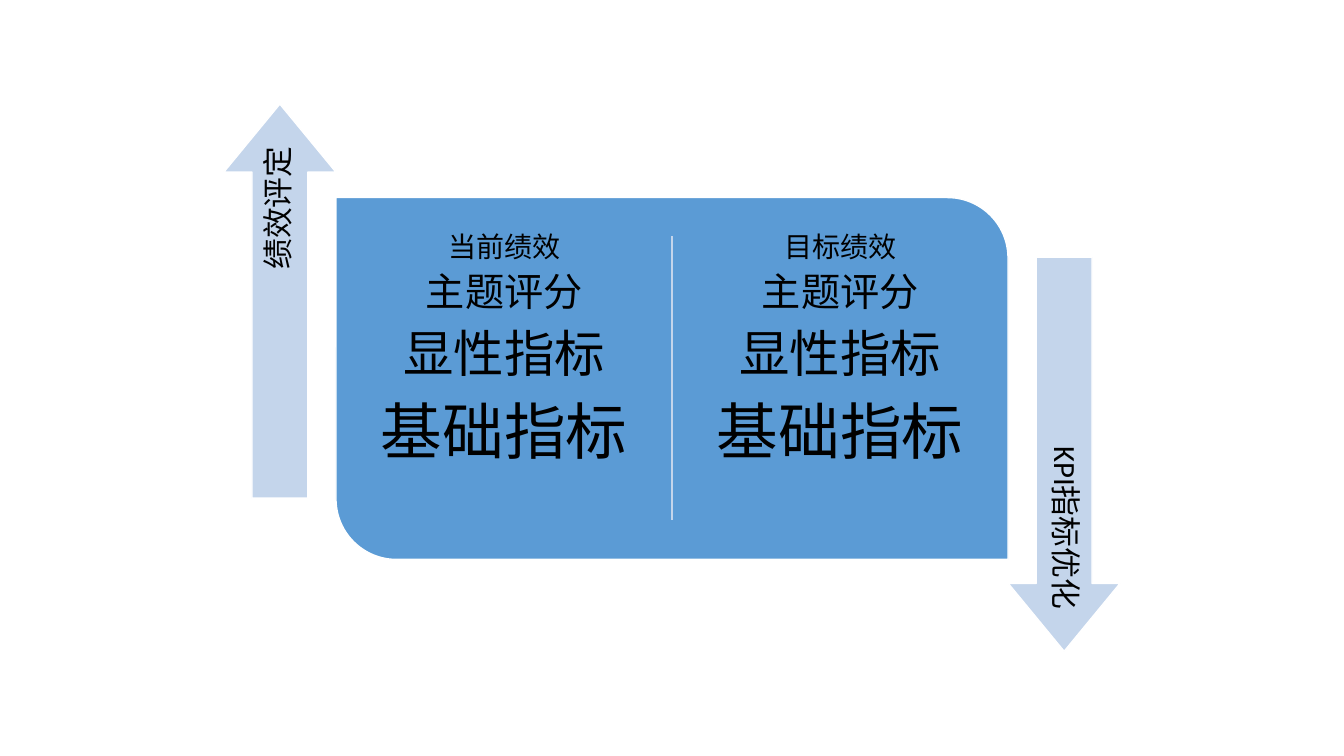
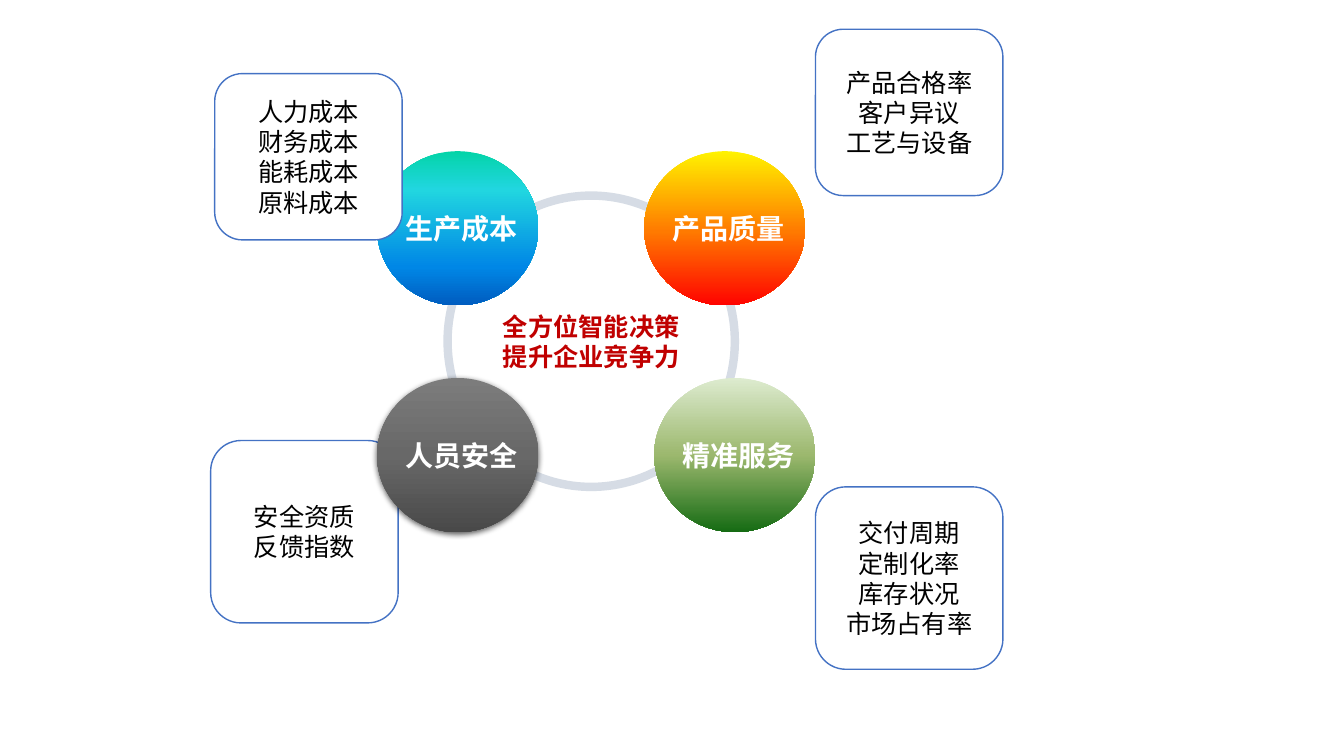
from lxml import etree
from pptx import Presentation
from pptx.dml.color import RGBColor
from pptx.enum.shapes import MSO_CONNECTOR, MSO_SHAPE
from pptx.enum.text import MSO_ANCHOR, PP_ALIGN
from pptx.oxml.ns import qn
from pptx.util import Inches, Pt

ROUND = MSO_SHAPE.ROUND_2_DIAG_RECTANGLE
ARROW = MSO_SHAPE.RIGHT_ARROW
OVAL = MSO_SHAPE.OVAL
CARD = MSO_SHAPE.FLOWCHART_ALTERNATE_PROCESS
LINE = MSO_CONNECTOR.STRAIGHT
MIDDLE, TOP = MSO_ANCHOR.MIDDLE, MSO_ANCHOR.TOP
CENTER, RIGHT = PP_ALIGN.CENTER, PP_ALIGN.RIGHT

COLS, ROWS = 40, 22.5
BODY, HEAVY = "Calibri", "Noto Sans CJK SC"
BLACK, WHITE, RED = "000000", "FFFFFF", "C00000"
BLUE, PALE = "5B9BD5", "C4D5EB"
EDGE, RING = "4472C4", "D6DCE5"


def color(code):
    return RGBColor.from_string(code)


def add(parent, tag, **attrs):
    return etree.SubElement(parent, qn(tag), attrs)


class Deck:
    def __init__(self):
        self.file = Presentation()
        self.file.slide_width = Inches(13.33)
        self.file.slide_height = Inches(7.5)
        self.wide = self.file.slide_width / COLS
        self.high = self.file.slide_height / ROWS

    def page(self):
        self.slide = self.file.slides.add_slide(self.file.slide_layouts[6])

    def spot(self, *cells):
        return [round(n * (self.high if i % 2 else self.wide))
                for i, n in enumerate(cells)]

    def shape(self, kind, place, fill=None, line=None, width=1, turn=0, bends=()):
        item = self.slide.shapes.add_shape(kind, *self.spot(*place))
        item.shadow.inherit = False
        item.rotation = turn
        for i, bend in enumerate(bends):
            item.adjustments[i] = bend
        if fill:
            item.fill.solid()
            item.fill.fore_color.rgb = color(fill)
        else:
            item.fill.background()
        if line:
            item.line.color.rgb = color(line)
            item.line.width = Pt(width)
        else:
            item.line.fill.background()
        return item

    def words(self, item, lines, sizes, tint=BLACK, face=BODY, bold=False,
              align=CENTER, anchor=MIDDLE, pads=(0.1, 0.05, 0.1, 0.05),
              wrap=True, tight=False):
        frame = item.text_frame
        frame.text = "\n".join(lines)
        frame.word_wrap = wrap
        frame.vertical_anchor = anchor
        (frame.margin_left, frame.margin_top,
         frame.margin_right, frame.margin_bottom) = map(Inches, pads)
        for para, size in zip(frame.paragraphs, sizes):
            para.alignment = align
            if tight:
                para.line_spacing = 0.9
                after = add(para._p.get_or_add_pPr(), "a:spcAft")
                add(after, "a:spcPct", val="35000")
            for run in para.runs:
                run.font.size = Pt(size)
                run.font.bold = bold
                run.font.name = face
                run.font.color.rgb = color(tint)
                add(run._r.get_or_add_rPr(), "a:ea", typeface=HEAVY)

    def label(self, place, lines, sizes, turn=0, **style):
        box = self.slide.shapes.add_textbox(*self.spot(*place))
        box.rotation = turn
        self.words(box, lines, sizes, tight=True, **style)

    def rule(self, *ends):
        item = self.slide.shapes.add_connector(LINE, *self.spot(*ends))
        item.line.color.rgb = color(PALE)
        item.line.width = Pt(1)
        add(item._element.spPr, "a:effectLst")

    def arrow(self, x, y, shift, turn, text):
        long, thick = 11.73, 3.33
        self.shape(ARROW, (x - long / 2, y - thick / 2, long, thick),
                   PALE, WHITE, turn=turn, bends=(0.498, 0.607))
        long, thick = 10.74, 1.65
        self.label((x - long / 2, y + shift - thick / 2, long, thick),
                   [text], [22], turn, align=RIGHT, pads=(0.09,) * 4)

    def card(self, x, y, high, lines):
        item = self.shape(CARD, (x, y, 5.58, high), WHITE, EDGE)
        self.words(item, lines, [18] * len(lines))

    def ball(self, x, y, text, stops, shade=False):
        item = self.shape(OVAL, (x, y, 4.8, 4.59))
        item.fill.gradient()
        item.fill.gradient_angle = 270
        blend = item._element.spPr.find(qn("a:gradFill")).find(qn("a:gsLst"))
        for old in list(blend):
            blend.remove(old)
        for share, code in stops:
            stop = add(blend, "a:gs", pos=str(share * 1000))
            add(stop, "a:srgbClr", val=code)
        if shade:
            glow = item._element.spPr.find(qn("a:effectLst"))
            cast = add(glow, "a:outerShdw", blurRad=str(Pt(4.5)),
                       dist=str(Pt(1.5)), dir="5400000", rotWithShape="0")
            add(add(cast, "a:srgbClr", val=BLACK), "a:alpha", val="63000")
        self.words(item, [text], [20], WHITE, HEAVY, True,
                   pads=(0.08, 0, 0, 0), wrap=False)


def goals(deck):
    deck.page()
    deck.shape(ROUND, (10, 5.88, 20, 10.77), BLUE, WHITE, bends=(0, 0.167))
    deck.rule(20, 7.02, 20, 15.48)
    for i, head in enumerate(("当前绩效", "目标绩效")):
        deck.label((10.67 + 10 * i, 6.69, 8.67, 9.12),
                   [head, "主题评分", "显性指标", "基础指标"],
                   range(20, 45, 8), anchor=TOP, pads=(0.08,) * 4)
    deck.arrow(8.33, 8.96, 0.5, 270, "绩效评定")
    deck.arrow(31.67, 13.52, -0.5, 90, "KPI指标优化")


def circle(deck):
    deck.page()
    deck.card(6.27, 13.11, 5.43, ["安全资质", "反馈指数"])
    ring = deck.shape(OVAL, (13.32, 5.82, 8.55, 8.67), line=RING, width=6)
    deck.words(ring, ["全方位智能决策", "提升企业竞争力"], [18, 18],
               RED, HEAVY, True)
    upper, lower = 4.5, 11.25
    deck.ball(11.22, upper, "生产成本", [
        (0, "03D4A8"), (25, "21D6E0"), (75, "0087E6"), (100, "005CBF")])
    deck.ball(19.17, upper, "产品质量", [
        (0, "FFF200"), (52, "FF7A00"), (100, "FF0300")])
    deck.ball(11.22, lower, "人员安全", [
        (0, "7C7C7C"), (50, "686868"), (100, "494949")], shade=True)
    deck.ball(19.47, lower, "精准服务", [
        (0, "DDEBCF"), (50, "9CB86E"), (100, "156B13")])
    deck.card(6.39, 2.19, 4.95, ["人力成本", "财务成本", "能耗成本", "原料成本"])
    deck.card(24.27, 14.49, 5.43, ["交付周期", "定制化率", "库存状况", "市场占有率"])
    deck.card(24.27, 0.87, 4.95, ["产品合格率", "客户异议", "工艺与设备"])


def main():
    deck = Deck()
    goals(deck)
    circle(deck)
    deck.file.save("out.pptx")


if __name__ == "__main__":
    main()
